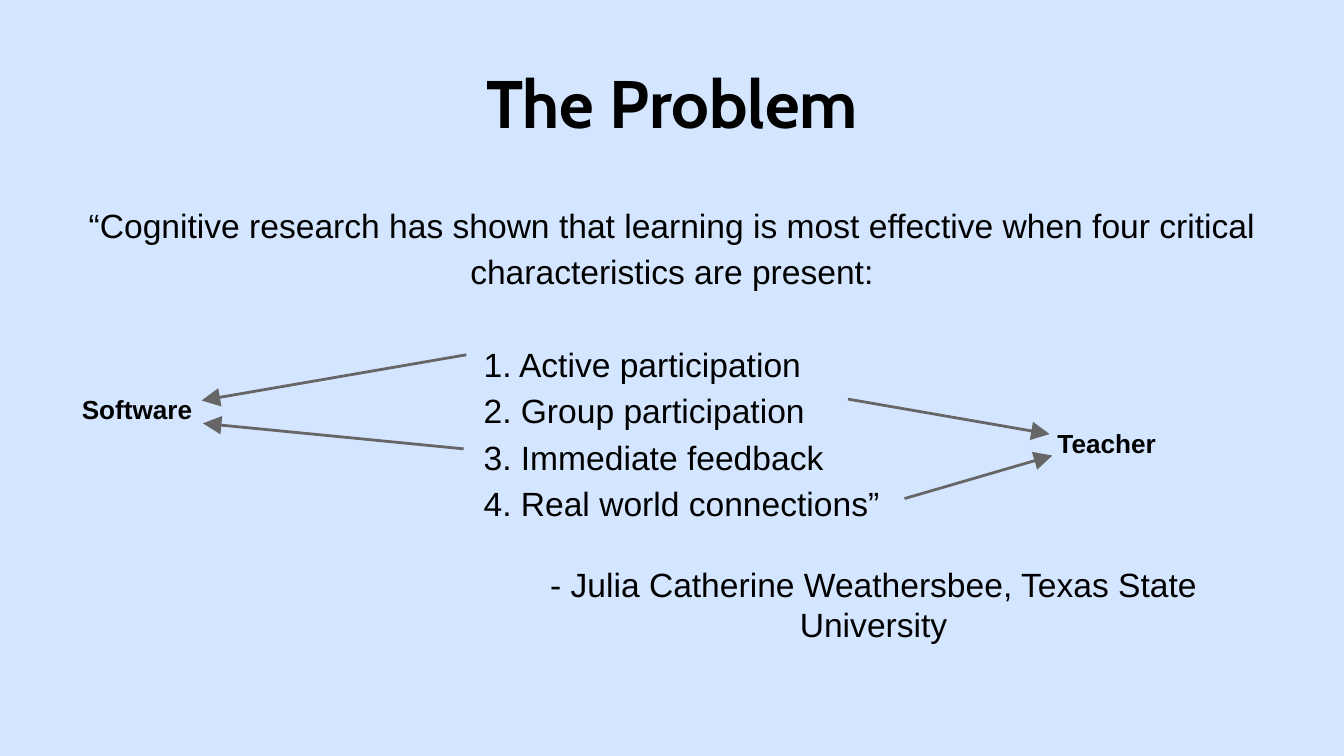
from typing import NamedTuple

from lxml import etree
from pptx import Presentation
from pptx.dml.color import RGBColor
from pptx.enum.shapes import MSO_CONNECTOR
from pptx.enum.text import MSO_ANCHOR, PP_ALIGN
from pptx.oxml.ns import qn
from pptx.util import Inches, Pt

CENTER, LEFT = PP_ALIGN.CENTER, PP_ALIGN.LEFT
TOP, BOTTOM = MSO_ANCHOR.TOP, MSO_ANCHOR.BOTTOM
STRAIGHT = MSO_CONNECTOR.STRAIGHT
BLACK, GREY, PALE_BLUE = "000000", "666666", "D4E6FF"


class Para(NamedTuple):
    text: str
    size: float = 18
    font: str = "Arial"
    bold: bool = False
    align: PP_ALIGN = LEFT
    spacing: float = 1.0
    before: float = 0
    indent: float = 0


class Box(NamedTuple):
    left: float
    top: float
    width: float
    height: float
    paras: list[Para]
    anchor: MSO_ANCHOR = TOP


class Arrow(NamedTuple):
    x1: float
    y1: float
    x2: float
    y2: float


def rgb(value: str) -> RGBColor:
    return RGBColor.from_string(value)


def add_text(slide, box: Box) -> None:
    sp = slide.shapes.add_textbox(Inches(box.left), Inches(box.top),
                                  Inches(box.width), Inches(box.height))
    tf = sp.text_frame
    tf.word_wrap = True
    tf.vertical_anchor = box.anchor
    tf.margin_left = tf.margin_right = Inches(0.1)
    tf.margin_top = tf.margin_bottom = Inches(0.1)
    for i, para in enumerate(box.paras):
        p = tf.add_paragraph() if i else tf.paragraphs[0]
        p.text = para.text
        p.alignment = para.align
        p.line_spacing = para.spacing
        p.space_before = Pt(para.before)
        if para.indent:
            pPr = p._p.get_or_add_pPr()
            pPr.set("marL", str(Inches(para.indent)))
            pPr.set("indent", "0")
        font = p.runs[0].font
        font.name, font.size, font.bold = para.font, Pt(para.size), para.bold
        font.color.rgb = rgb(BLACK)


def add_arrow(slide, arrow: Arrow) -> None:
    line = slide.shapes.add_connector(STRAIGHT, *map(Inches, arrow))
    line.line.color.rgb = rgb(GREY)
    line.line.width = Pt(1.5)
    ln = line.line._get_or_add_ln()
    etree.SubElement(ln, qn("a:tailEnd"), type="triangle", w="lg", len="lg")
    etree.SubElement(line._element.spPr, qn("a:effectLst"))


CHARACTERISTICS = [
    "1. Active participation",
    "2. Group participation",
    "3. Immediate feedback",
    "4. Real world connections”",
]

QUOTE = [
    Para("“Cognitive research has shown that learning is most effective when "
         "four critical characteristics are present:",
         align=CENTER, spacing=1.15),
    *(Para(text, spacing=1.15, indent=3, before=0 if i else 24.8)
      for i, text in enumerate(CHARACTERISTICS)),
    Para("- Julia Catherine Weathersbee, Texas State University",
         align=CENTER, before=21.8, indent=3),
]

BOXES = [
    Box(0.5, 0.22, 9, 0.94,
        [Para("The Problem", 36, "Cabin", True, CENTER)], BOTTOM),
    Box(0.5, 1.38, 9, 2.22, QUOTE),
    Box(0.51, 2.83, 1.09, 0.38, [Para("Software", 14, bold=True)]),
    Box(7.77, 3.08, 1.03, 0.38, [Para("Teacher", 14, bold=True)]),
]

# Each arrow runs from a characteristic to whoever provides it
ARROWS = [
    Arrow(3.45, 3.34, 1.51, 3.15),
    Arrow(3.47, 2.64, 1.5, 2.98),
    Arrow(6.31, 2.97, 7.81, 3.23),
    Arrow(6.73, 3.71, 7.83, 3.39),
]


def main() -> None:
    # Widescreen 16:9 page
    prs = Presentation()
    prs.slide_width = Inches(10)
    prs.slide_height = Inches(10 * 9 / 16)
    s = prs.slides.add_slide(prs.slide_layouts[6])

    # Background
    s.background.fill.solid()
    s.background.fill.fore_color.rgb = rgb(PALE_BLUE)

    # Title, quotation and labels
    for box in BOXES:
        add_text(s, box)

    # Arrows
    for arrow in ARROWS:
        add_arrow(s, arrow)

    prs.save("out.pptx")


if __name__ == "__main__":
    main()
